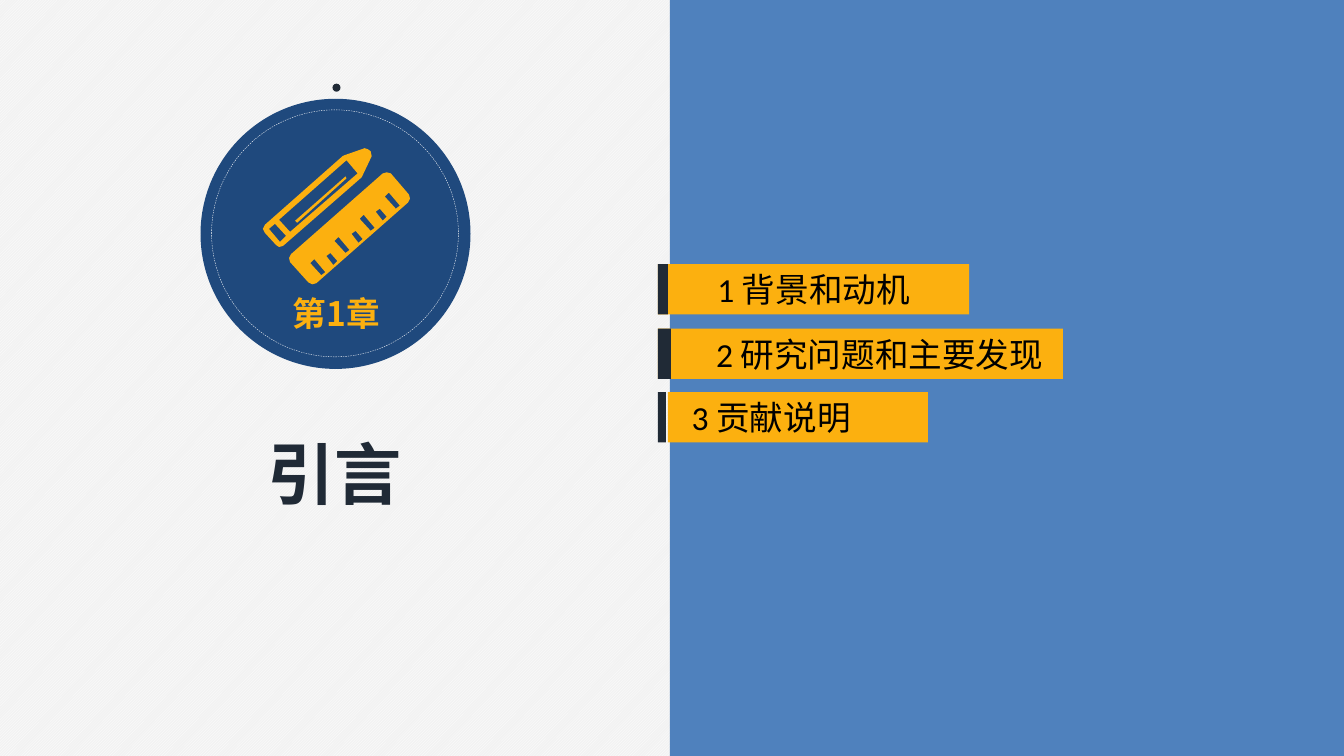
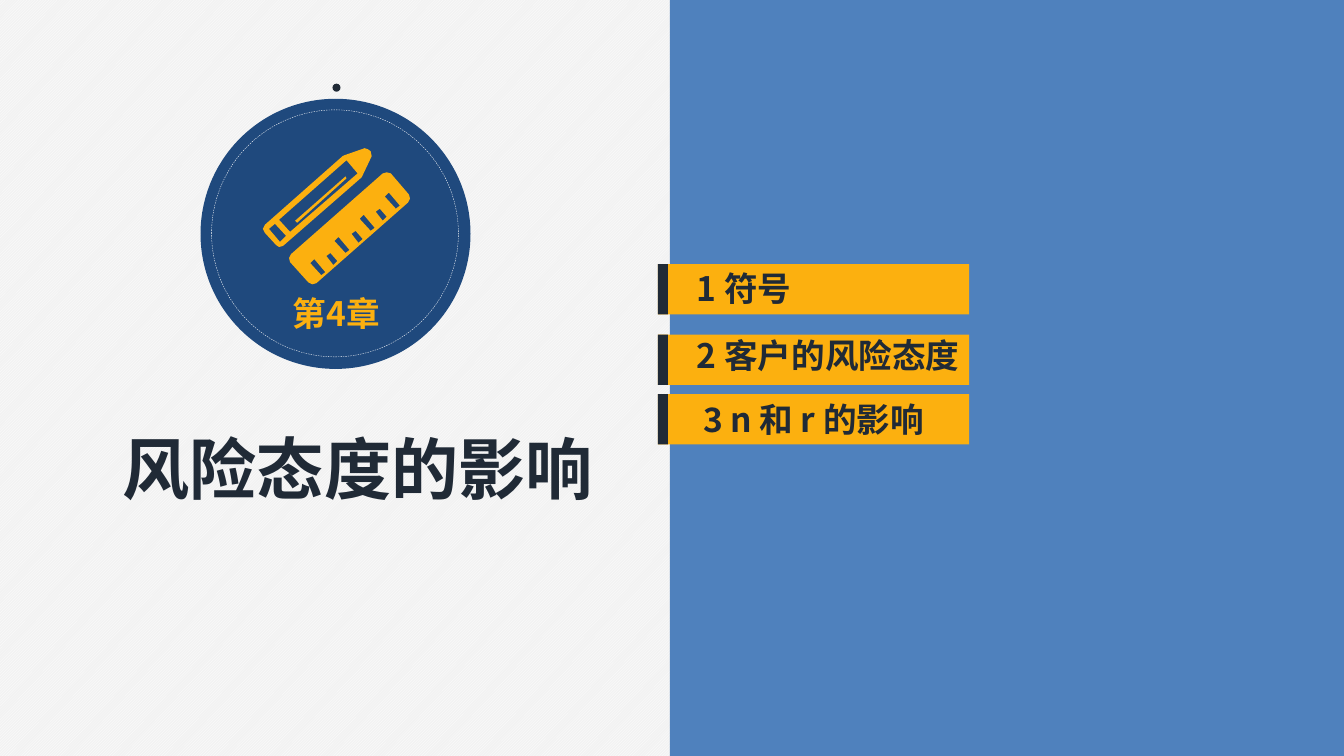
from lxml.etree import SubElement
from pptx import Presentation
from pptx.dml.color import RGBColor
from pptx.enum.dml import MSO_LINE, MSO_PATTERN
from pptx.enum.shapes import MSO_SHAPE
from pptx.enum.text import MSO_ANCHOR, MSO_AUTO_SIZE, PP_ALIGN
from pptx.oxml.ns import qn
from pptx.util import Pt

SCALE = 9144
HUES = {
    "blue": "4F81BD",
    "navy": "1F497D",
    "ink": "202A36",
    "gold": "FCB00F",
    "white": "FFFFFF",
    "grey": "F2F2F2",
    "black": "000000",
}
SANS = "Noto Sans CJK SC"
LATIN = "Calibri"
LEFT, TALL = 653, 50

LONG = [(0, 0), (-11, -13), (-15, -9), (-4, 3)]
SHORT = [(0, 0), (-7, -8), (-11, -5), (-4, 4)]
MARKS = [
    [(323 + 74 * i // 6 + x, 270 - 11 * i + y) for x, y in (SHORT if i % 2 else LONG)]
    for i in range(7)
]
PENCIL = [
    [(295, 221), (293, 219), (343, 175), (344, 177)],
    [(284, 234), (273, 222), (267, 227), (278, 240)],
    [(355, 172), (344, 159), (277, 218), (288, 230)],
    [(274, 243), (263, 231), (261, 227), (263, 223), (340, 155), (342, 154),
     (362, 147), (365, 148), (368, 150), (369, 155), (360, 174), (359, 176),
     (281, 244), (277, 245)],
]
RULER = [
    (306, 280), (288, 260), (287, 256), (289, 252), (380, 172), (384, 171),
    (388, 172), (406, 193), (407, 197), (405, 201), (314, 281), (310, 282),
]


def px(*sizes):
    return [size * SCALE for size in sizes]


def hue(name):
    return RGBColor.from_string(HUES[name])


class Deck:
    def __init__(self):
        self.prs = Presentation()
        self.prs.slide_width, self.prs.slide_height = px(1334, 750)
        self.layout = self.prs.slide_layouts[5]
        fill = self.layout.background.fill
        fill.patterned()
        fill.pattern = MSO_PATTERN.LIGHT_UPWARD_DIAGONAL
        fill.fore_color.rgb = hue("white")
        fill.back_color.rgb = hue("grey")
        self.slide = None

    def shape(self, kind, place, fill=None, home=None):
        item = (home or self.slide).shapes.add_shape(kind, *px(*place))
        item.shadow.inherit = False
        item.line.fill.background()
        if fill:
            item.fill.solid()
            item.fill.fore_color.rgb = hue(fill)
        else:
            item.fill.background()
        return item

    def style(self, item, text, size, color, font=SANS, bold=True,
              align=PP_ALIGN.CENTER, anchor=MSO_ANCHOR.TOP, wrap=False):
        frame = item.text_frame
        frame.text = text
        frame.auto_size = MSO_AUTO_SIZE.NONE
        frame.word_wrap = wrap
        frame.vertical_anchor = anchor
        para = frame.paragraphs[0]
        para.alignment = align
        for run in para.runs:
            run.font.size = Pt(size)
            run.font.bold = bold
            run.font.name = font
            run.font.color.rgb = hue(color)
            SubElement(run.font._element, qn("a:ea")).set("typeface", SANS)

    def label(self, place, text, size, color, **look):
        self.style(self.slide.shapes.add_textbox(*px(*place)), text, size, color, **look)

    def title(self, text, left, top):
        item = self.slide.shapes.title
        item.left, item.top, item.width, item.height = px(left, top, 500, 91)
        self.style(item, text, 48, "ink")

    def icon(self):
        parts = PENCIL + MARKS + [RULER]
        pen = self.slide.shapes.build_freeform(*parts[0][0], scale=SCALE)
        for part in parts:
            pen.move_to(*part[0])
            pen.add_line_segments(part[1:], close=True)
        item = pen.convert_to_shape()
        item.shadow.inherit = False
        item.fill.solid()
        item.fill.fore_color.rgb = hue("gold")
        item.line.fill.background()

    def badge(self, text):
        self.shape(MSO_SHAPE.OVAL, (199, 98, 268, 268), "navy")
        self.shape(MSO_SHAPE.OVAL, (330, 83, 8, 8), "ink")
        ring = self.shape(MSO_SHAPE.OVAL, (210, 109, 245, 245))
        ring.line.color.rgb = hue("white")
        ring.line.width = Pt(0.25)
        ring.line.dash_style = MSO_LINE.DASH
        self.label((204, 285, 260, 52), text, 24, "gold",
                   anchor=MSO_ANCHOR.MIDDLE, wrap=True)
        self.icon()

    def bar(self, top, text="", left=LEFT, width=309, tag=10, pads=(10, 10), **look):
        group = self.slide.shapes.add_group_shape()
        item = self.shape(MSO_SHAPE.RECTANGLE, (left, top, width, TALL), "gold", group)
        if text:
            frame = item.text_frame
            frame.margin_left, frame.margin_right = px(*pads)
            self.style(item, text, 24, anchor=MSO_ANCHOR.MIDDLE, **look)
        self.shape(MSO_SHAPE.RECTANGLE, (LEFT, top, tag, TALL), "ink", group)

    def start(self, mark, text, left, top):
        self.slide = self.prs.slides.add_slide(self.layout)
        self.title(text, left, top)
        self.shape(MSO_SHAPE.RECTANGLE, (665, 0, 669, 750), "blue")
        self.badge(mark)


def main():
    deck = Deck()

    deck.start("第1章", "引言", 82, 424)
    plain = {"color": "black", "font": LATIN, "bold": False}
    deck.bar(262, "1 背景和动机", **plain)
    deck.bar(326, "2 研究问题和主要发现", width=402, tag=13, pads=(48, 10), **plain)
    deck.bar(389, "3 贡献说明", left=663, width=258, tag=8, pads=(10, 63), **plain)

    deck.start("第4章", "风险态度的影响", 105, 419)
    deck.bar(262)
    deck.bar(332)
    deck.bar(391, "3 n 和 r 的影响", color="ink")
    for top, text in ((261, "1 符号"), (327, "2 客户的风险态度")):
        deck.label((682, top, 290, TALL), text, 24, "ink", align=PP_ALIGN.LEFT)

    deck.prs.save("out.pptx")


if __name__ == "__main__":
    main()
